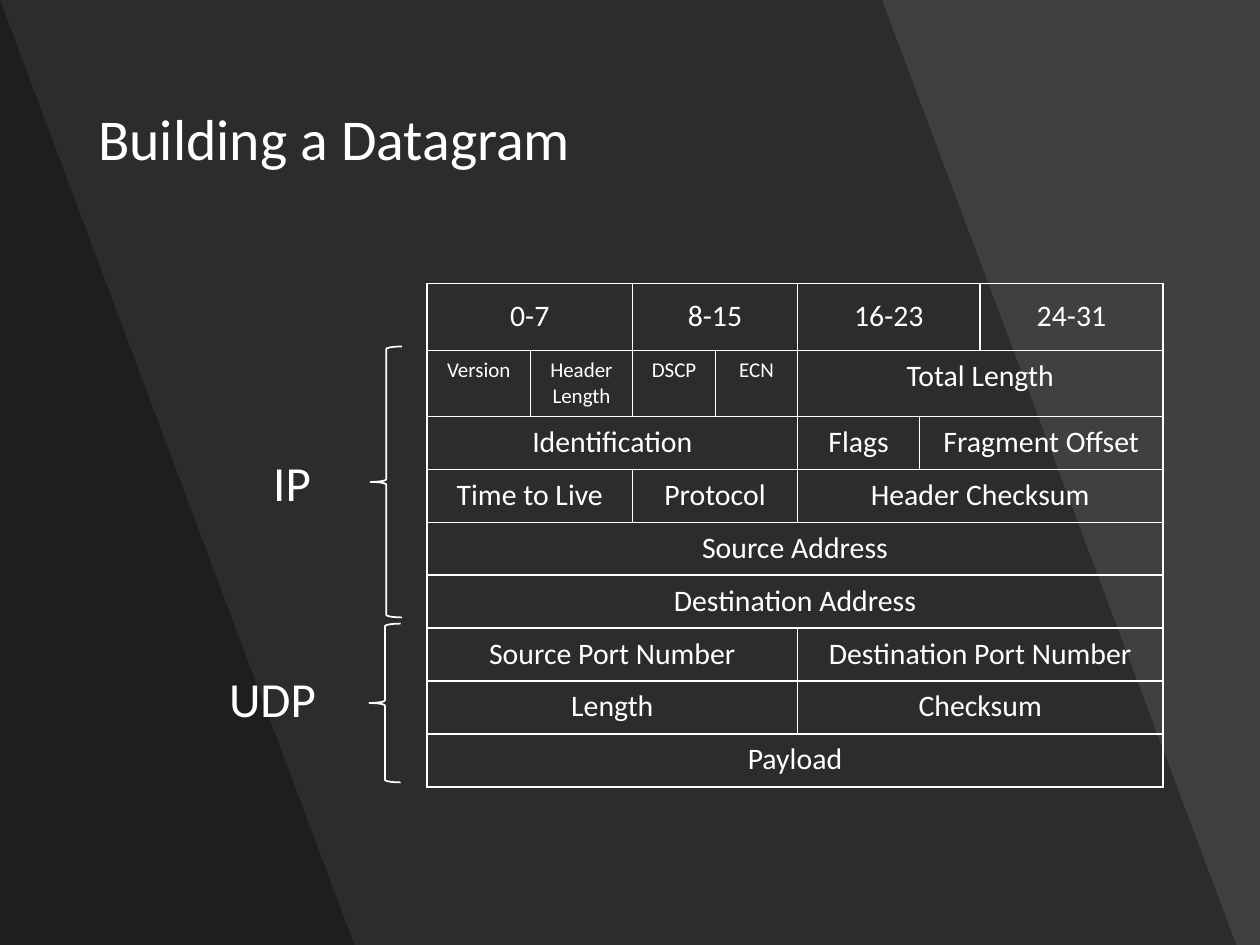
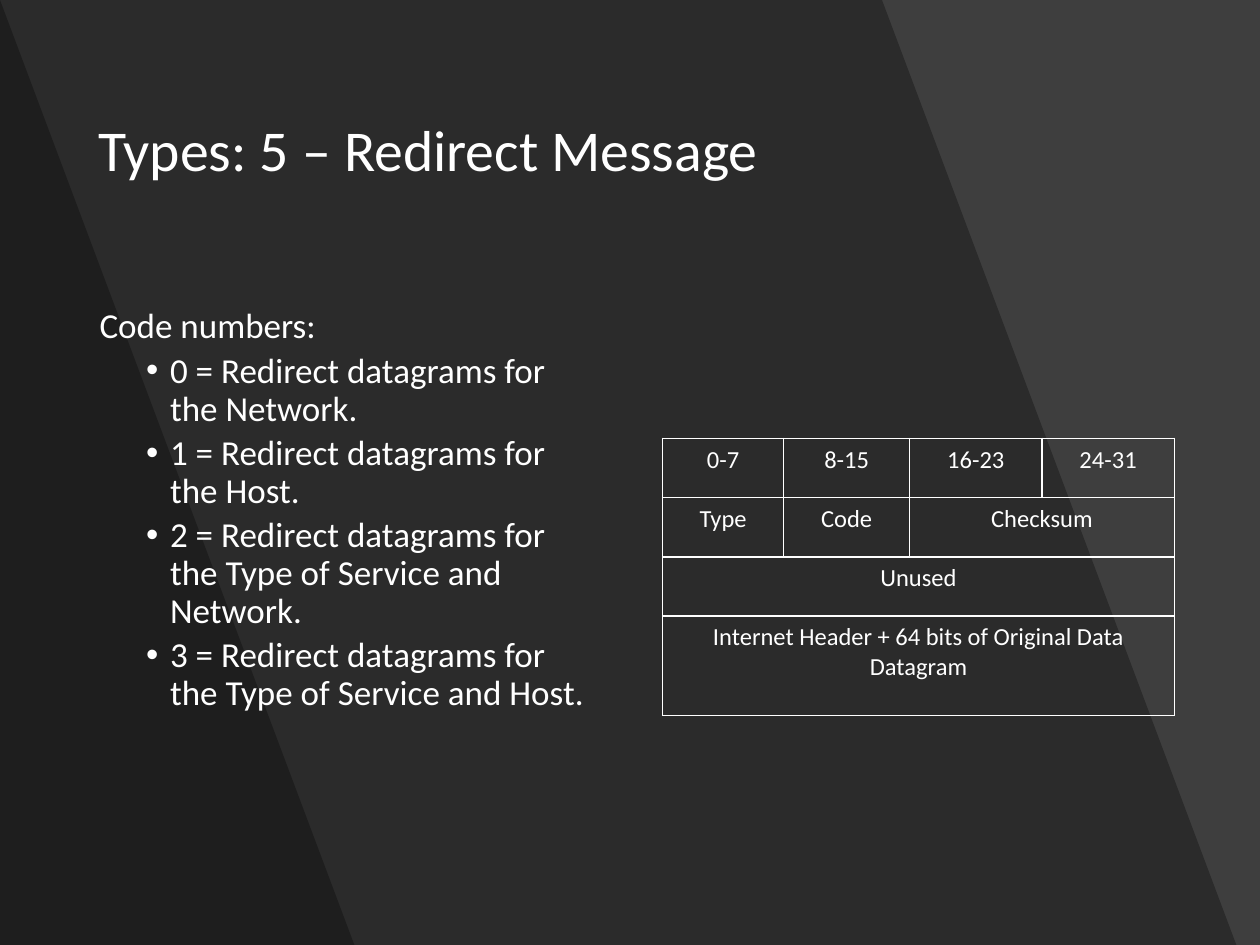
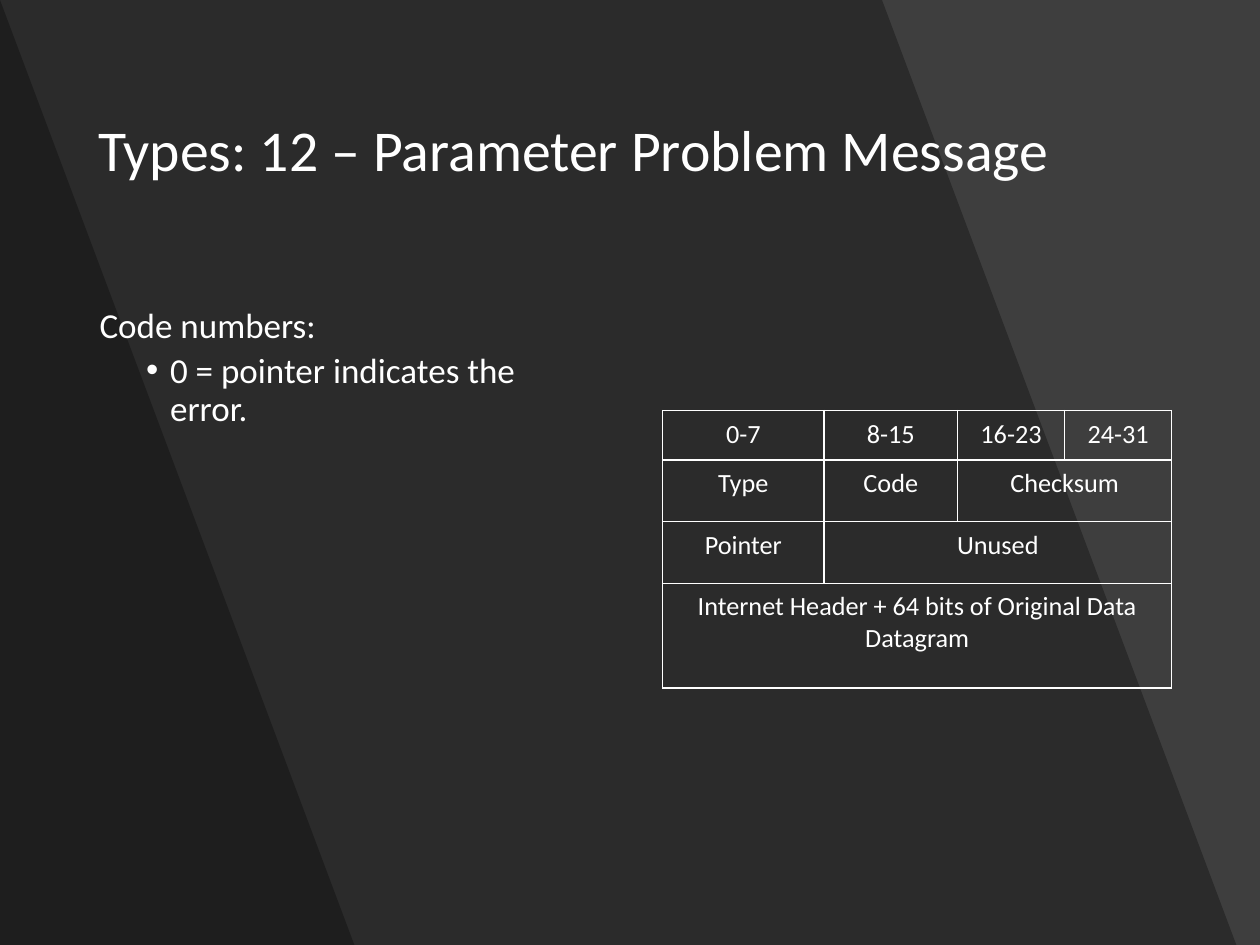
from dataclasses import dataclass

from lxml import etree
from pptx import Presentation
from pptx.dml.color import RGBColor
from pptx.enum.shapes import MSO_SHAPE
from pptx.enum.text import MSO_ANCHOR, MSO_AUTO_SIZE, PP_ALIGN
from pptx.oxml.ns import qn
from pptx.util import Inches, Pt

LEFT_BRACE = MSO_SHAPE.LEFT_BRACE
RECTANGLE = MSO_SHAPE.RECTANGLE
MIDDLE = MSO_ANCHOR.MIDDLE
TOP = MSO_ANCHOR.TOP
FIXED_SIZE = MSO_AUTO_SIZE.NONE
LEFT = PP_ALIGN.LEFT
CENTER = PP_ALIGN.CENTER

WIDTH, HEIGHT = 10, 7.5
BAND_SLANT = 2.61
BAND_TOPS = (7.06, 0.33)
TITLE_ONLY, TITLE_AND_CONTENT = 5, 1


@dataclass(frozen=True)
class Theme:
    font: str = "Calibri"
    text: RGBColor = RGBColor(0xFF, 0xFF, 0xFF)
    shade: RGBColor = RGBColor(0, 0, 0)
    datagram_back: RGBColor = RGBColor(0x40, 0x40, 0x40)
    message_back: RGBColor = RGBColor(0x45, 0x45, 0x45)
    band_opacity: int = 30
    veil_opacity: int = 9
    title_size: float = 33
    label_size: float = 28
    list_size: float = 20
    field_size: float = 17
    small_field_size: float = 12
    line_width: float = 1
    line_spacing: float = 0.9


THEME = Theme()


@dataclass(frozen=True)
class Field:
    """A table cell that covers `span` columns; no size means the table's own."""
    text: str
    span: int = 1
    size: float = 0


BYTE_RANGES = ("0-7", "8-15", "16-23", "24-31")
ORIGINAL_DATA = Field("Internet Header + 64 bits of Original Data Datagram", 4)
TYPE_ROW = [Field("Type"), Field("Code"), Field("Checksum", 2)]

DATAGRAM_ROWS = [
    [Field(name, span) for name, span in zip(BYTE_RANGES, (2, 2, 2, 1))],
    [Field(name, 1, THEME.small_field_size)
     for name in ("Version", "Header Length", "DSCP", "ECN")] + [Field("Total Length", 3)],
    [Field("Identification", 4), Field("Flags"), Field("Fragment Offset", 2)],
    [Field("Time to Live", 2), Field("Protocol", 2), Field("Header Checksum", 3)],
    [Field("Source Address", 7)],
    [Field("Destination Address", 7)],
    [Field("Source Port Number", 4), Field("Destination Port Number", 3)],
    [Field("Length", 4), Field("Checksum", 3)],
    [Field("Payload", 7)],
]
REDIRECT_ROWS = [
    [Field(name) for name in BYTE_RANGES],
    TYPE_ROW,
    [Field("Unused", 4)],
    [ORIGINAL_DATA],
]
PARAMETER_ROWS = [
    [Field(name) for name in BYTE_RANGES],
    TYPE_ROW,
    [Field("Pointer"), Field("Unused", 3)],
    [ORIGINAL_DATA],
]
REDIRECT_CODES = [
    "0 = Redirect datagrams for the Network.",
    "1 = Redirect datagrams for the Host.",
    "2 = Redirect datagrams for the Type of Service and Network.",
    "3 = Redirect datagrams for the Type of Service and Host.",
]
PARAMETER_CODES = ["0 = pointer indicates the error."]


def place(shape, left, top, width, height):
    shape.left, shape.top = Inches(left), Inches(top)
    shape.width, shape.height = Inches(width), Inches(height)


def format_runs(para, size):
    for span in para.runs:
        span.font.name = THEME.font
        span.font.size = Pt(size)
        span.font.color.rgb = THEME.text


def send_shade_back(page, shape, opacity):
    """Fill the shape with translucent black and put it behind the title."""
    shape.shadow.inherit = False
    shape.line.fill.background()
    shape.fill.solid()
    shape.fill.fore_color.rgb = THEME.shade
    color = next(shape.element.iter(qn("a:srgbClr")))
    etree.SubElement(color, qn("a:alpha"), val=str(opacity * 1000))
    page.shapes.title.element.addprevious(shape.element)


def add_veil(page):
    veil = page.shapes.add_shape(RECTANGLE, 0, 0, Inches(WIDTH), Inches(HEIGHT))
    send_shade_back(page, veil, THEME.veil_opacity)


def add_bands(page):
    for top_edge in BAND_TOPS:
        builder = page.shapes.build_freeform(0, 0, scale=Inches(1))
        builder.add_line_segments(
            [(top_edge, 0), (top_edge + BAND_SLANT, HEIGHT), (0, HEIGHT)], close=True)
        send_shade_back(page, builder.convert_to_shape(), THEME.band_opacity)


def set_title(page, text, top):
    title = page.shapes.title
    place(title, 0.68, top, 8.63, 1.45)
    frame = title.text_frame
    frame.text = text
    frame.auto_size = FIXED_SIZE
    frame.vertical_anchor = MIDDLE
    para = frame.paragraphs[0]
    para.alignment = LEFT
    para.line_spacing = THEME.line_spacing
    format_runs(para, THEME.title_size)


def add_page(deck, layout, back, title, title_top):
    page = deck.slides.add_slide(deck.slide_layouts[layout])
    page.background.fill.solid()
    page.background.fill.fore_color.rgb = back
    set_title(page, title, title_top)
    return page


def set_bullet(para, character, margin, indent):
    """Set the paragraph's indents and its bullet; no character means no bullet."""
    properties = para._p.get_or_add_pPr()
    properties.set("marL", str(Inches(margin)))
    properties.set("indent", str(Inches(indent)))
    if character:
        etree.SubElement(properties, qn("a:buFont"), typeface="Arial")
        etree.SubElement(properties, qn("a:buChar"), char=character)
    else:
        etree.SubElement(properties, qn("a:buNone"))


def set_code_list(page, codes):
    body = page.placeholders[1]
    place(body, 0.69, 2.4, 4.05, 4.36)
    frame = body.text_frame
    frame.text = "\n".join(["Code numbers:"] + codes)
    frame.auto_size = FIXED_SIZE
    frame.vertical_anchor = TOP
    for index, para in enumerate(frame.paragraphs):
        para.line_spacing = THEME.line_spacing
        if index == 0:
            para.space_before = Pt(7.5)
            set_bullet(para, "", 0, 0)
        else:
            para.level = 1
            para.space_before = Pt(3.8)
            set_bullet(para, "•", 0.56, -0.19)
        format_runs(para, THEME.list_size)


def outline_cell(cell):
    """Give the cell four border lines and no fill."""
    cell.fill.background()
    properties = cell._tc.get_or_add_tcPr()
    for index, side in enumerate(("a:lnL", "a:lnR", "a:lnT", "a:lnB")):
        line = etree.Element(qn(side), w=str(Pt(THEME.line_width)))
        fill = etree.SubElement(line, qn("a:solidFill"))
        etree.SubElement(fill, qn("a:srgbClr"), val=str(THEME.text))
        properties.insert(index, line)


def fill_cell(cell, text, size, inset):
    cell.margin_left = cell.margin_right = Inches(inset[0])
    cell.margin_top = cell.margin_bottom = Inches(inset[1])
    cell.text_frame.text = text
    para = cell.text_frame.paragraphs[0]
    para.alignment = CENTER
    format_runs(para, size)


def add_field_table(page, left, top, widths, heights, rows, size, inset, header_inset=None):
    """Draw a packet layout; the insets are (sides, top and bottom)."""
    frame = page.shapes.add_table(
        len(heights), len(widths), Inches(left), Inches(top),
        Inches(sum(widths)), Inches(sum(heights)))
    table = frame.table
    table.first_row = table.horz_banding = False
    for column, width in zip(table.columns, widths):
        column.width = Inches(width)
    for row, height in zip(table.rows, heights):
        row.height = Inches(height)
    for cell in table.iter_cells():
        outline_cell(cell)
    for row_index, fields in enumerate(rows):
        cell_inset = header_inset if header_inset and row_index == 0 else inset
        column_index = 0
        for field in fields:
            cell = table.cell(row_index, column_index)
            column_index += field.span
            if field.span > 1:
                cell.merge(table.cell(row_index, column_index - 1))
            fill_cell(cell, field.text, field.size or size, cell_inset)


def add_brace(page, left, top, height):
    brace = page.shapes.add_shape(
        LEFT_BRACE, Inches(left), Inches(top), Inches(0.25), Inches(height))
    brace.shadow.inherit = False
    brace.fill.background()
    brace.line.color.rgb = THEME.text
    brace.line.width = Pt(THEME.line_width)


def add_label(page, text, left, top, width):
    box = page.shapes.add_textbox(Inches(left), Inches(top), Inches(width), Inches(0.57))
    box.text_frame.word_wrap = True
    box.text_frame.text = text
    format_runs(box.text_frame.paragraphs[0], THEME.label_size)


def add_datagram_page(deck):
    page = add_page(deck, TITLE_ONLY, THEME.datagram_back, "Building a Datagram", 0.4)
    add_bands(page)
    add_field_table(
        page, 3.39, 2.25, [0.82, 0.81, 0.66, 0.65, 0.97, 0.48, 1.45],
        [0.53, 0.46] + [0.42] * 7, DATAGRAM_ROWS, THEME.field_size,
        inset=(0.12, 0.06), header_inset=(0.24, 0.12))
    add_brace(page, 2.94, 2.75, 2.15)
    add_brace(page, 2.93, 4.95, 1.26)
    add_label(page, "IP", 2.07, 3.54, 0.51)
    add_label(page, "UDP", 1.72, 5.26, 1.06)


def add_message_page(deck, title, codes):
    """Add a page with a list of codes on the left and room for a table."""
    page = add_page(deck, TITLE_AND_CONTENT, THEME.message_back, title, 0.49)
    add_veil(page)
    add_bands(page)
    set_code_list(page, codes)
    return page


def main():
    deck = Presentation()
    deck.slide_width, deck.slide_height = Inches(WIDTH), Inches(HEIGHT)

    add_datagram_page(deck)

    redirect = add_message_page(deck, "Types: 5 – Redirect Message", REDIRECT_CODES)
    add_field_table(
        redirect, 5.26, 3.48, [0.96, 1, 1.05, 1.05], [0.47, 0.47, 0.47, 0.79],
        REDIRECT_ROWS, size=14, inset=(0.11, 0.05))

    parameter = add_message_page(
        deck, "Types: 12 – Parameter Problem Message", PARAMETER_CODES)
    add_field_table(
        parameter, 5.26, 3.26, [1.28, 1.06, 0.85, 0.85], [0.39, 0.49, 0.49, 0.83],
        PARAMETER_ROWS, size=15, inset=(0.11, 0.06))

    deck.save("out.pptx")


if __name__ == "__main__":
    main()
